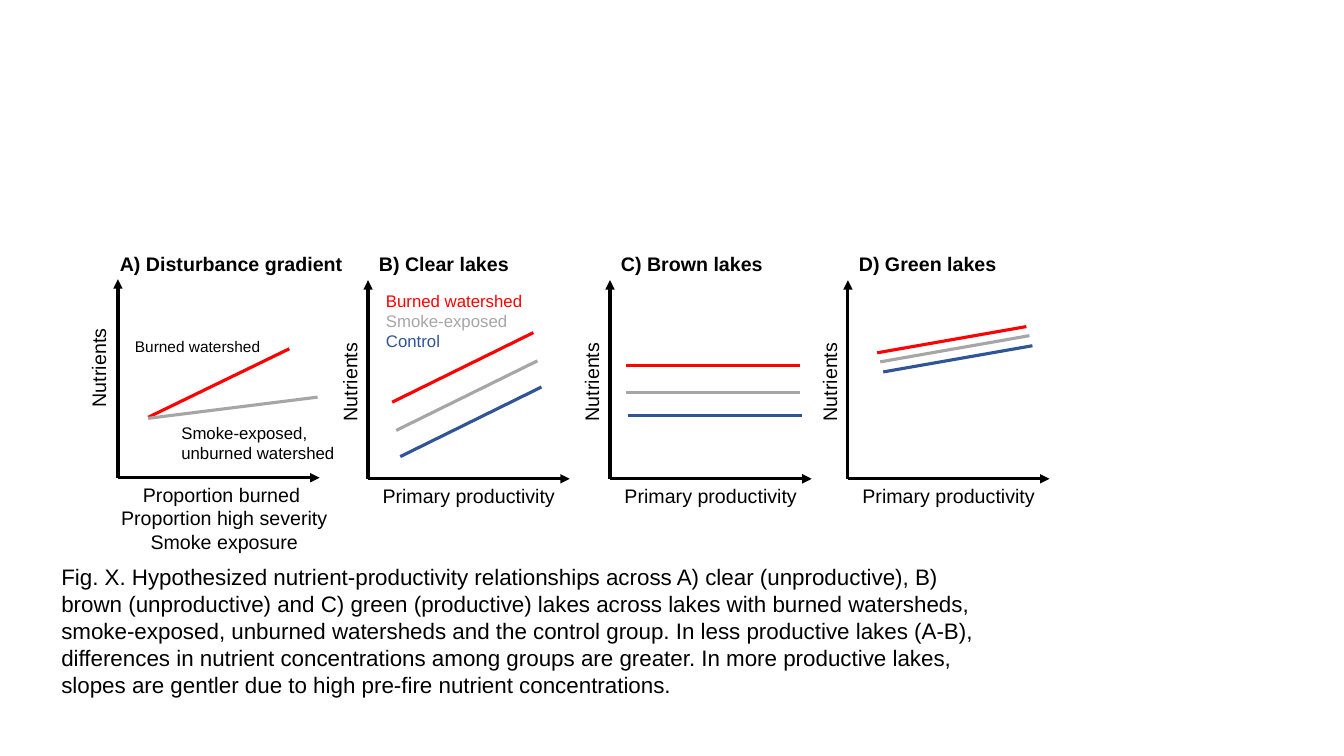
from lxml import etree
from pptx import Presentation
from pptx.dml.color import RGBColor
from pptx.enum.shapes import MSO_CONNECTOR
from pptx.enum.text import MSO_AUTO_SIZE, PP_ALIGN
from pptx.oxml.ns import qn
from pptx.util import Inches, Pt

STRAIGHT = MSO_CONNECTOR.STRAIGHT
LEFT, CENTER = PP_ALIGN.LEFT, PP_ALIGN.CENTER
GROW = MSO_AUTO_SIZE.SHAPE_TO_FIT_TEXT
COLORS = {"ink": "000000", "burned": "FF0000", "smoke": "A6A6A6", "control": "2F5597"}
GROUPS = ("burned", "smoke", "control")
TOP, WIDE, HIGH, ROW = 2.78, 2, 1.97, 0.34

LAKES = [
    (3.65, "B) Clear lakes", (1.4, -0.69), [(0.24, 1.21), (0.28, 1.49), (0.32, 1.75)]),
    (6.05, "C) Brown lakes", (1.72, 0), [(0.16, 0.85), (0.16, 1.11), (0.18, 1.34)]),
    (8.41, "D) Green lakes", (1.48, -0.26), [(0.29, 0.72), (0.32, 0.81), (0.35, 0.91)]),
]
CAPTION = (
    "Fig. X. Hypothesized nutrient-productivity relationships across A) clear "
    "(unproductive), B) brown (unproductive) and C) green (productive) lakes across "
    "lakes with burned watersheds, smoke-exposed, unburned watersheds and the control "
    "group. In less productive lakes (A-B), differences in nutrient concentrations "
    "among groups are greater. In more productive lakes, slopes are gentler due to "
    "high pre-fire nutrient concentrations."
)


def add_text(slide, box, lines, size=14, align=LEFT, bold=False, hues=("ink",), turn=0):
    """Add a text box with one paragraph per line, cycling through the hues."""
    shape = slide.shapes.add_textbox(*map(Inches, box))
    shape.rotation = turn
    frame = shape.text_frame
    frame.word_wrap = True
    frame.auto_size = GROW
    for i, line in enumerate(lines):
        para = frame.paragraphs[0] if i == 0 else frame.add_paragraph()
        para.alignment = align
        run = para.add_run()
        run.text = line
        for key, value in {"name": "Arial", "size": Pt(size), "bold": bold}.items():
            setattr(run.font, key, value)
        run.font.color.rgb = RGBColor.from_string(COLORS[hues[i % len(hues)]])


def add_line(slide, start, step, hue="ink", arrow=False):
    """Draw a line from start by step, with an arrowhead if asked."""
    x, y = start
    ends = (x, y, x + step[0], y + step[1])
    line = slide.shapes.add_connector(STRAIGHT, *map(Inches, ends))
    line.line.width = Pt(2.25)
    line.line.color.rgb = RGBColor.from_string(COLORS[hue])
    if arrow:
        tip = etree.SubElement(line.line._get_or_add_ln(), qn("a:tailEnd"))
        tip.set("type", "triangle")
    etree.SubElement(line._element.spPr, qn("a:effectLst"))


def add_axes(slide, x, y):
    """Draw both axes of the plot whose top left corner is given."""
    for step in ((0, -HIGH), (WIDE, 0)):
        add_line(slide, (x, y + HIGH), step, arrow=True)


def add_side(slide, x, y):
    """Write the upright axis label around its middle."""
    box = (x - WIDE / 2, y - ROW / 2, WIDE, ROW)
    add_text(slide, box, ["Nutrients"], align=CENTER, turn=270)


def add_lake(slide, x, y, title, step, starts):
    """Draw a lake panel with one trend for each group."""
    add_axes(slide, x, y)
    add_side(slide, x - 0.18, y + 1.01)
    add_text(slide, (x + 0.01, y - 0.33, WIDE, ROW), [title], bold=True)
    add_text(slide, (x, y + HIGH, WIDE, ROW), ["Primary productivity"], align=CENTER)
    for hue, (dx, dy) in zip(GROUPS, starts):
        add_line(slide, (x + dx, y + dy), step, hue)


def add_gradient(slide, x, y):
    """Draw the disturbance panel with its two labelled trends."""
    add_axes(slide, x, y)
    add_side(slide, x - 0.19, y + 0.88)
    add_text(slide, (x - 0.08, y - 0.32, 2.44, ROW), ["A) Disturbance gradient"], bold=True)
    causes = ["Proportion burned ", "Proportion high severity", "Smoke exposure"]
    add_text(slide, (x - 0.17, y + HIGH, 2.45, 0.81), causes, align=CENTER)
    add_line(slide, (x + 0.3, y + 1.37), (1.4, -0.68), "burned")
    add_line(slide, (x + 0.3, y + 1.38), (1.68, -0.21), "smoke")
    names = ["Smoke-exposed,", "unburned watershed"]
    add_text(slide, (x + 0.53, y + 1.37, 1.75, 0.5), names, size=12)
    add_text(slide, (x + 0.07, y + 0.52, 1.9, 0.29), ["Burned watershed"], size=11)


def add_key(slide, x, y):
    """Write the colour key of the three groups."""
    names = ["Burned watershed", "Smoke-exposed", "Control"]
    add_text(slide, (x, y, 1.87, 0.71), names, size=12, hues=GROUPS)


def main():
    """Build the figure slide and save it."""
    deck = Presentation()
    deck.slide_width, deck.slide_height = Inches(13.33), Inches(7.5)
    slide = deck.slides.add_slide(deck.slide_layouts[6])
    add_gradient(slide, 1.17, TOP - 0.01)
    for x, title, step, starts in LAKES:
        add_lake(slide, x, TOP, title, step, starts)
    add_key(slide, 3.73, 2.83)
    add_text(slide, (0.51, 5.54, 9.46, 1.45), [CAPTION], size=16)
    deck.save("out.pptx")


if __name__ == "__main__":
    main()
